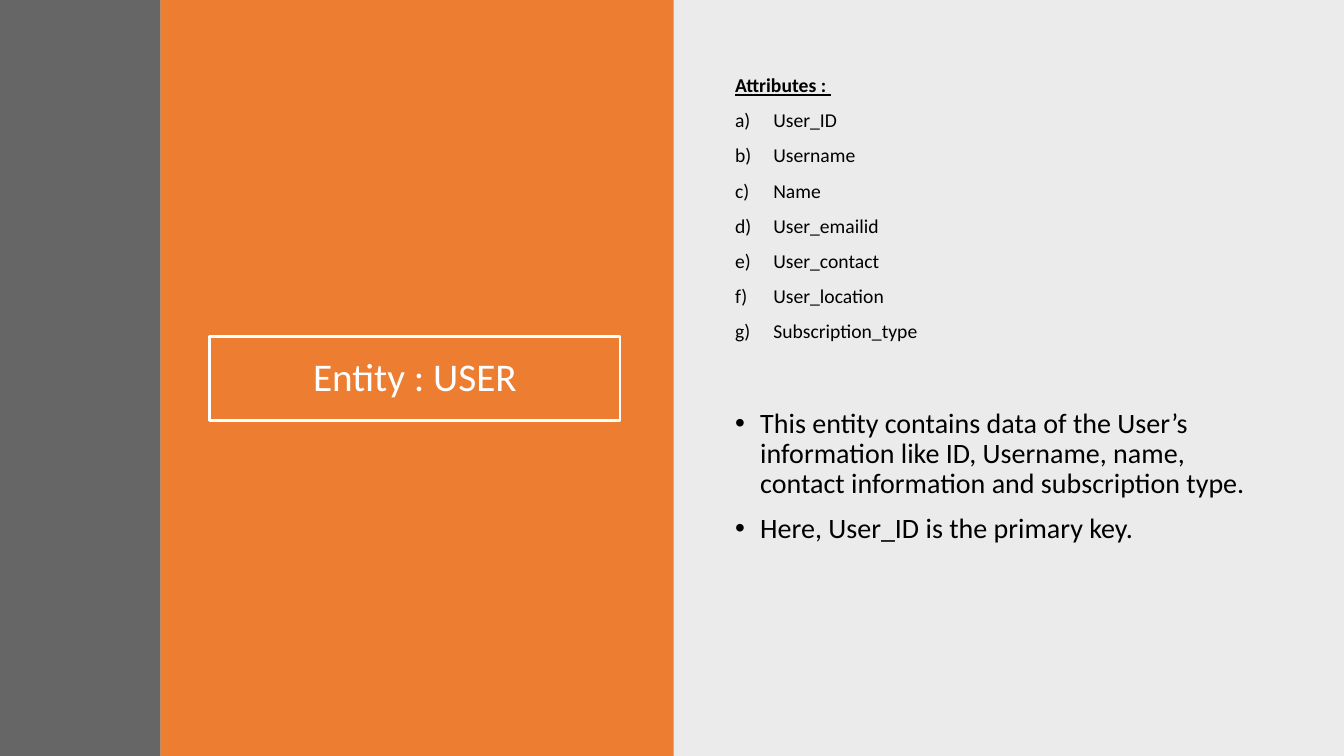
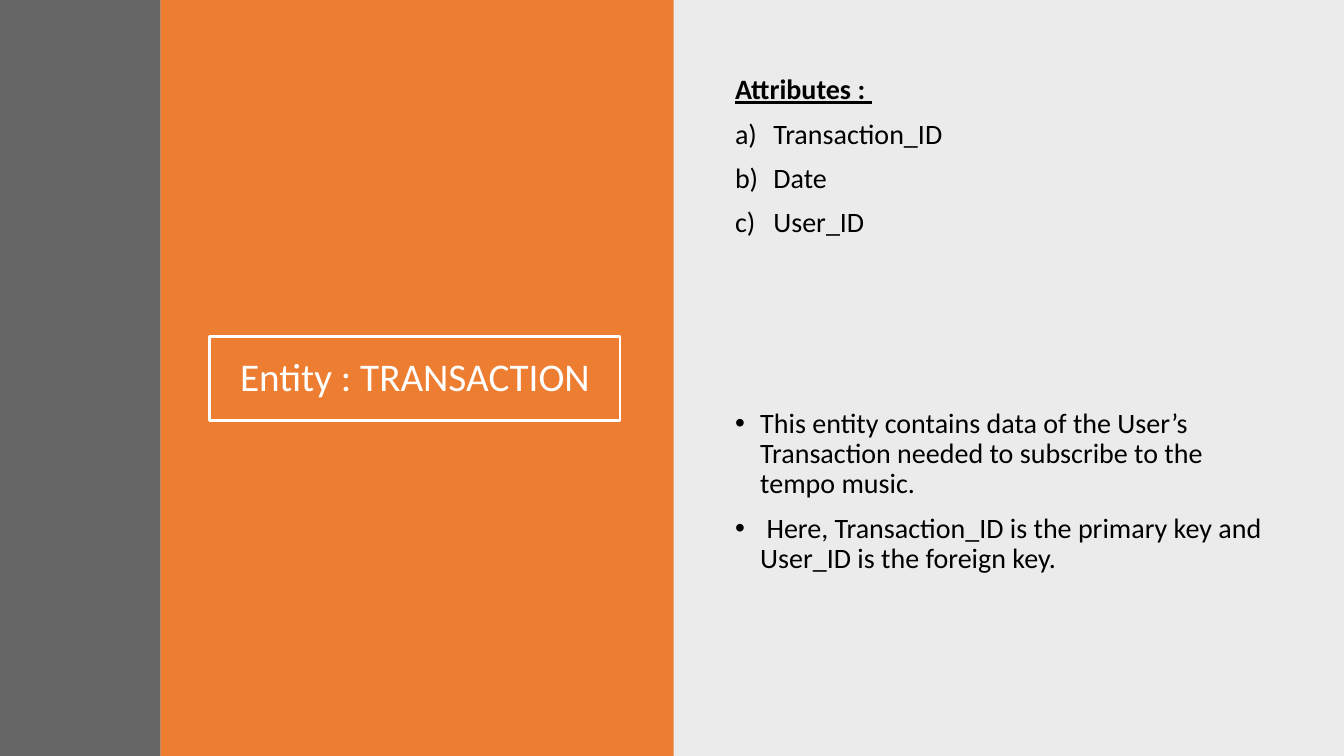
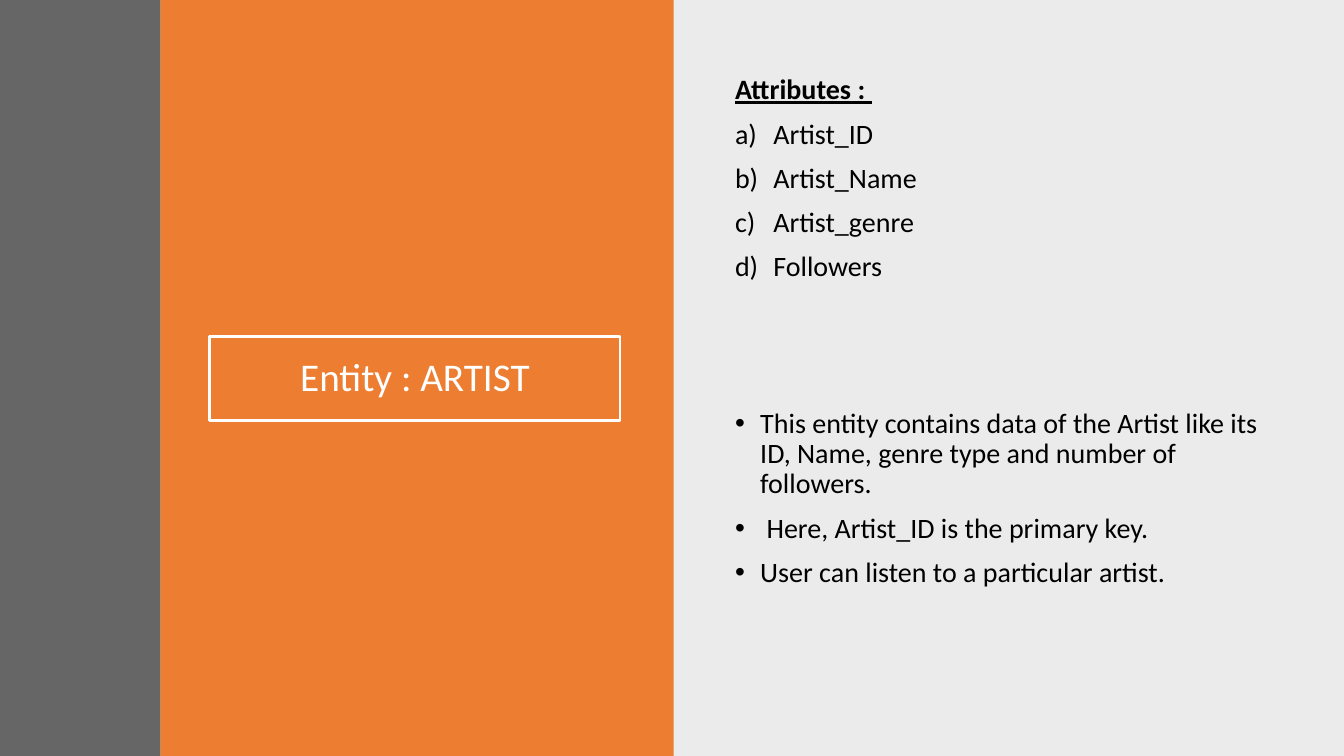
"""Build three slides that describe the entities of a music database."""
from lxml import etree
from pptx import Presentation
from pptx.dml.color import RGBColor
from pptx.enum.shapes import MSO_SHAPE
from pptx.enum.text import MSO_ANCHOR, MSO_AUTO_SIZE, PP_ALIGN
from pptx.oxml.ns import qn
from pptx.util import Inches, Pt

RECTANGLE = MSO_SHAPE.RECTANGLE
MIDDLE, TOP = MSO_ANCHOR.MIDDLE, MSO_ANCHOR.TOP
CENTER, LEFT = PP_ALIGN.CENTER, PP_ALIGN.LEFT
NO_AUTOFIT = MSO_AUTO_SIZE.NONE

COLORS = {
    "black": "000000",
    "white": "FFFFFF",
    "orange": "ED7D31",
    "gray": "404040",
}
FONT = "Calibri"
TWO_CONTENT_LAYOUT = 3
SLIDE_WIDTH, SLIDE_HEIGHT = 13.33, 7.5
BANDS = [
    (6.67, 6.67, "black", 8),
    (1.59, 5.09, "orange", 100),
    (0, 1.59, "gray", 80),
]
TITLE_BOX = (2.08, 3.34, 4.07, 0.83)
ATTRIBUTES_BOX = (7.19, 0.7, 5.53, 2.79)
NOTES_BOX = (7.19, 4.01, 5.53, 2.79)
PLAIN = (0, None, "buNone", {})
LETTERED = (0.38, "+mj-lt", "buAutoNum", {"type": "alphaLcParenR"})
BULLETED = (0.25, "Arial", "buChar", {"char": "•"})

ENTITIES = [
    {
        "title": "Entity : USER",
        "attributes": ["User_ID", "Username", "Name", "User_emailid",
                       "User_contact", "User_location", "Subscription_type"],
        "attribute_size": 14,
        "notes": [
            "This entity contains data of the User’s information like ID, "
            "Username, name, contact information and subscription type.",
            "Here, User_ID is the primary key.",
        ],
    },
    {
        "title": "Entity : TRANSACTION",
        "attributes": ["Transaction_ID", "Date", "User_ID"],
        "attribute_size": 20,
        "notes": [
            "This entity contains data of the User’s Transaction needed to "
            "subscribe to the tempo music.",
            " Here, Transaction_ID is the primary key and User_ID is the "
            "foreign key.",
        ],
    },
    {
        "title": "Entity : ARTIST",
        "attributes": ["Artist_ID", "Artist_Name", "Artist_genre", "Followers"],
        "attribute_size": 20,
        "notes": [
            "This entity contains data of the Artist like its ID, Name, genre "
            "type and number of followers.",
            " Here, Artist_ID is the primary key.",
            "User can listen to a particular artist.",
        ],
    },
]


def color(name):
    """Return the named colour."""
    return RGBColor.from_string(COLORS[name])


def add_band(slide, left, width, color_name, opacity):
    """Add a full-height band behind the placeholders."""
    band = slide.shapes.add_shape(RECTANGLE, Inches(left), 0, Inches(width), Inches(SLIDE_HEIGHT))
    band.shadow.inherit = False
    band.fill.solid()
    band.fill.fore_color.rgb = color(color_name)
    band.line.fill.background()
    if opacity < 100:
        fill_color = band.element.spPr.find(qn("a:solidFill"))[0]
        etree.SubElement(fill_color, qn("a:alpha")).set("val", str(opacity * 1000))
    slide.shapes.title.element.addprevious(band.element)


def place(placeholder, box, anchor):
    """Move a placeholder to its box and fix its text frame."""
    placeholder.left, placeholder.top, placeholder.width, placeholder.height = map(Inches, box)
    placeholder.text_frame.auto_size = NO_AUTOFIT
    placeholder.text_frame.vertical_anchor = anchor


def format_paragraph(paragraph, size, color_name, alignment):
    """Set the shared type style of a paragraph."""
    paragraph.alignment = alignment
    paragraph.line_spacing = 0.9
    for run in paragraph.runs:
        run.font.name = FONT
        run.font.size = Pt(size)
        run.font.color.rgb = color(color_name)


def set_marker(paragraph, indent, marker_font, tag, attributes):
    """Give a paragraph its hanging indent and its bullet or letter."""
    properties = paragraph._p.get_or_add_pPr()
    properties.set("marL", str(Inches(indent)))
    properties.set("indent", str(-Inches(indent)))
    if marker_font:
        etree.SubElement(properties, qn("a:buFont")).set("typeface", marker_font)
    etree.SubElement(properties, qn(f"a:{tag}"), attributes)


def fill_title(title, text):
    """Write the outlined slide title."""
    place(title, TITLE_BOX, MIDDLE)
    title.line.color.rgb = color("white")
    title.line.width = Pt(2)
    title.text_frame.text = text
    format_paragraph(title.text_frame.paragraphs[0], 28, "white", CENTER)


def fill_list(placeholder, box, lines, size):
    """Write a list of (text, marker) lines into a body placeholder."""
    place(placeholder, box, TOP)
    text_frame = placeholder.text_frame
    text_frame.text = "\n".join(text for text, marker in lines)
    for index, paragraph in enumerate(text_frame.paragraphs):
        set_marker(paragraph, *lines[index][1])
        paragraph.space_before = Pt(10 if index else 0)
        format_paragraph(paragraph, size, "black", LEFT)


def add_entity_slide(presentation, entity):
    """Add the slide of one entity."""
    slide = presentation.slides.add_slide(presentation.slide_layouts[TWO_CONTENT_LAYOUT])
    for band in BANDS:
        add_band(slide, *band)
    title, attributes, notes = slide.placeholders
    fill_title(title, entity["title"])
    attribute_lines = [("Attributes : ", PLAIN)]
    attribute_lines += [(name, LETTERED) for name in entity["attributes"]]
    fill_list(attributes, ATTRIBUTES_BOX, attribute_lines, entity["attribute_size"])
    heading = attributes.text_frame.paragraphs[0].runs[0]
    heading.font.bold = True
    heading.font.underline = True
    fill_list(notes, NOTES_BOX, [(note, BULLETED) for note in entity["notes"]], 20)


def main():
    """Build and save the presentation."""
    presentation = Presentation()
    presentation.slide_width = Inches(SLIDE_WIDTH)
    presentation.slide_height = Inches(SLIDE_HEIGHT)
    for entity in ENTITIES:
        add_entity_slide(presentation, entity)
    presentation.save("out.pptx")


if __name__ == "__main__":
    main()
